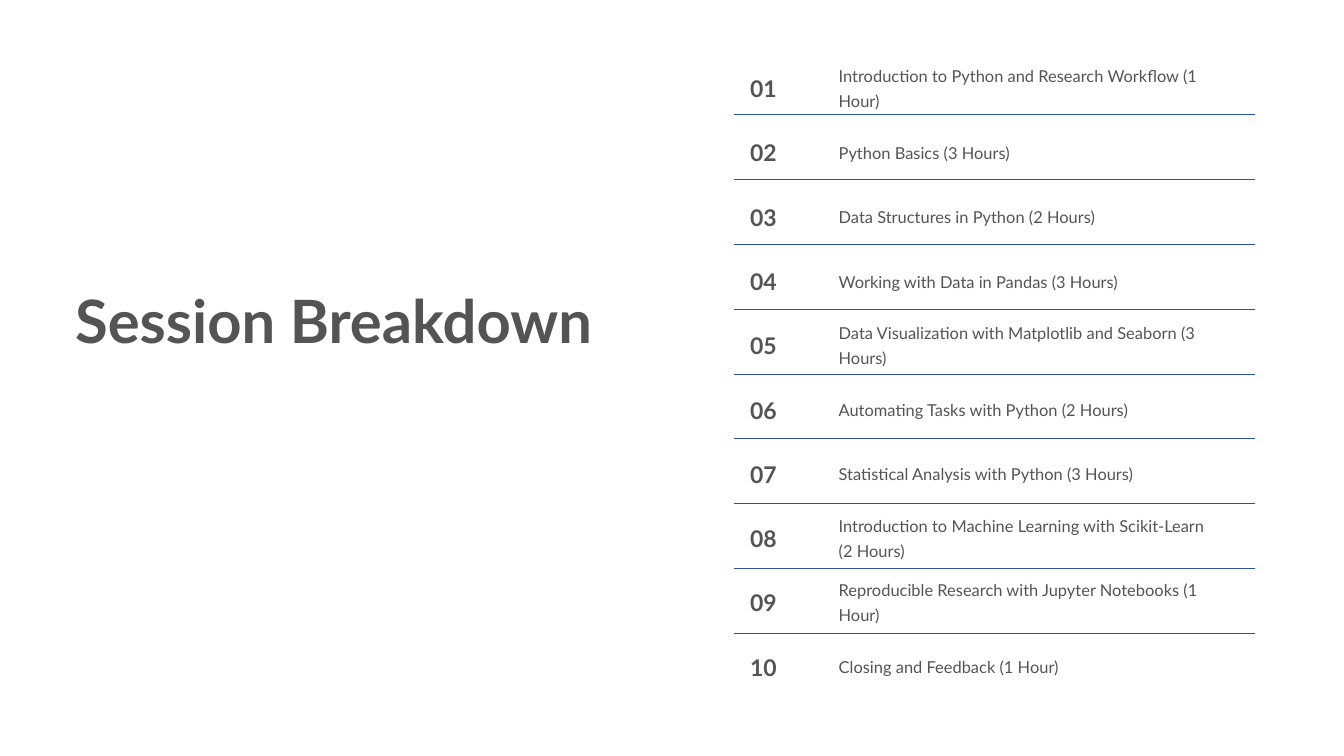
from lxml.etree import SubElement
from pptx import Presentation
from pptx.dml.color import RGBColor
from pptx.enum.shapes import MSO_CONNECTOR as Connector
from pptx.enum.text import MSO_AUTO_SIZE as AutoSize, PP_ALIGN as Align
from pptx.oxml.ns import qn
from pptx.util import Cm, Pt

TITLE = "Session Breakdown"
SESSIONS = [
    ("Introduction to Python and Research Workflow (1 Hour)", 2),
    ("Python Basics (3 Hours)", 1),
    ("Data Structures in Python (2 Hours)", 1),
    ("Working with Data in Pandas (3 Hours)", 1),
    ("Data Visualization with Matplotlib and Seaborn (3 Hours)", 2),
    ("Automating Tasks with Python (2 Hours)", 1),
    ("Statistical Analysis with Python (3 Hours)", 1),
    ("Introduction to Machine Learning with Scikit-Learn (2 Hours)", 2),
    ("Reproducible Research with Jupyter Notebooks (1 Hour)", 2),
    ("Closing and Feedback (1 Hour)", 1),
]
FONT, TEXT_COLOR, RULE_COLOR = "Lato", "545454", "2B529D"
NUMBER_TOP, NUMBER_PITCH = 2.74, 2.43
RULE_TOP, RULE_PITCH = 4.34, 2.45
RULE_LEFT, RULE_RIGHT = 27.76, 47.45
TOPIC_OFFSET = {1: 0.05, 2: -0.43}
TOPIC_HEIGHT = {1: 0.89, 2: 1.83}


def color(value):
    return RGBColor.from_string(value)


def add_text(slide, text, box, size, spacing, bold=False, align=Align.LEFT):
    shape = slide.shapes.add_textbox(*map(Cm, box))
    frame = shape.text_frame
    frame.margin_left = frame.margin_top = frame.margin_right = frame.margin_bottom = 0
    frame.word_wrap = True
    frame.auto_size = AutoSize.SHAPE_TO_FIT_TEXT
    paragraph = frame.paragraphs[0]
    paragraph.alignment = align
    paragraph.line_spacing = Pt(spacing)
    run = paragraph.add_run()
    run.text = text
    run.font.name = FONT
    run.font.size = Pt(size)
    run.font.bold = bold
    run.font.color.rgb = color(TEXT_COLOR)


def add_rule(slide, top):
    rule = slide.shapes.add_connector(
        Connector.STRAIGHT, Cm(RULE_LEFT), Cm(top), Cm(RULE_RIGHT), Cm(top))
    rule.line.color.rgb = color(RULE_COLOR)
    rule.line.width = Pt(0.75)
    SubElement(rule.element.spPr, qn("a:effectLst"))


def main():
    presentation = Presentation()
    presentation.slide_width, presentation.slide_height = Cm(50.8), Cm(28.58)
    slide = presentation.slides.add_slide(presentation.slide_layouts[6])

    add_text(slide, TITLE, (2.84, 10.74, 21.06, 2.69), 64, 76.8, bold=True)
    for index, (topic, lines) in enumerate(SESSIONS):
        top = NUMBER_TOP + index * NUMBER_PITCH
        add_text(slide, f"{index + 1:02}", (27.71, top, 2.29, 1.07),
                 24.6, 32, bold=True, align=Align.CENTER)
        add_text(slide, topic, (31.7, top + TOPIC_OFFSET[lines], 13.92, TOPIC_HEIGHT[lines]),
                 17.6, 26.5)
        if index < len(SESSIONS) - 1:
            add_rule(slide, RULE_TOP + index * RULE_PITCH)

    presentation.save("out.pptx")


if __name__ == "__main__":
    main()
